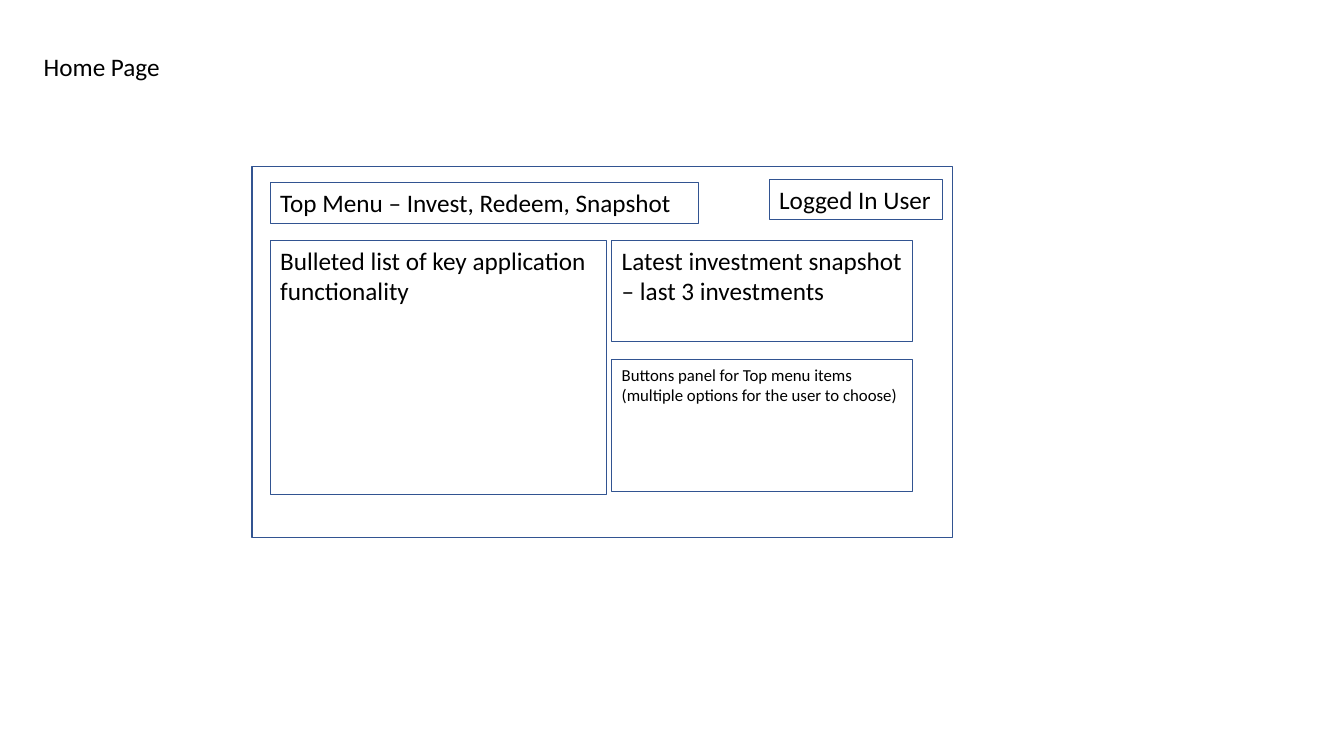
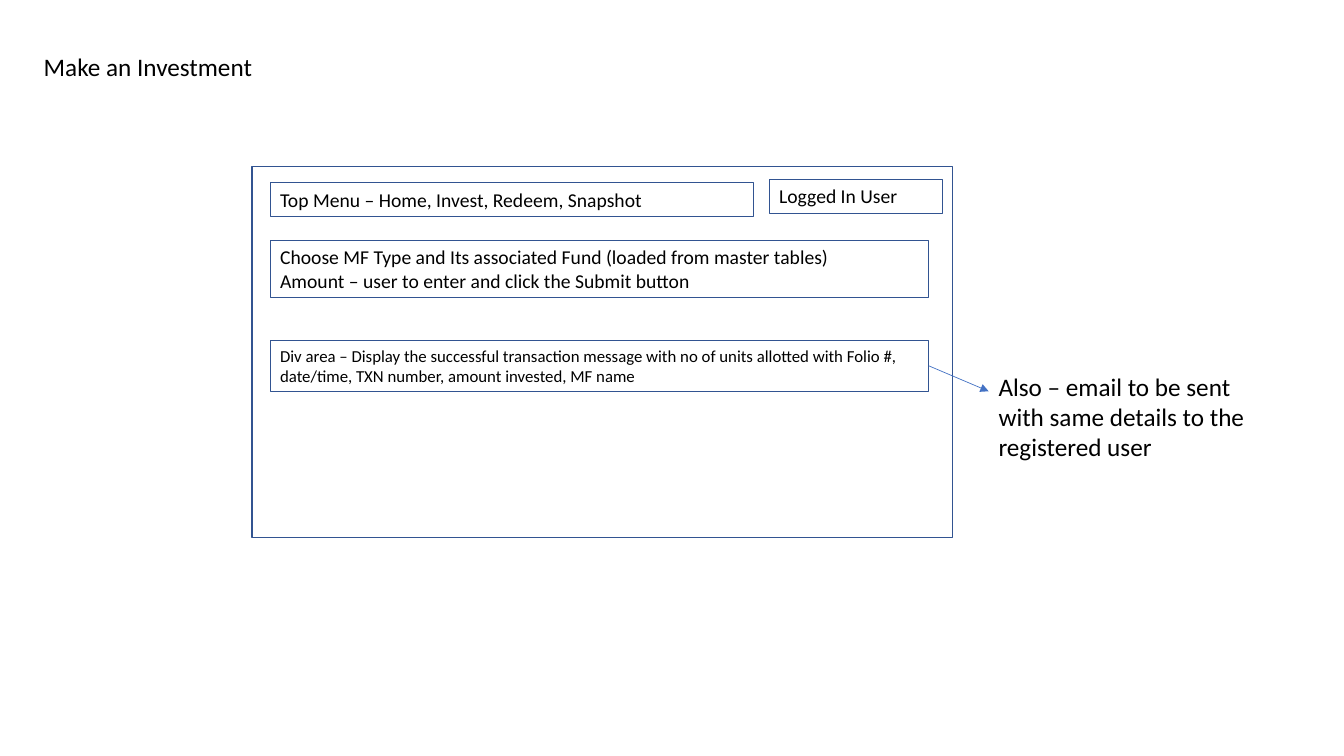
from lxml import etree
from pptx import Presentation
from pptx import util as u
from pptx.dml import color
from pptx.enum import shapes, text
from pptx.oxml import ns

FONT = "Calibri"
INK, EDGE, ARROW = "000000", "325491", "4472C4"
LEFT, BODY = 193, 171.5  # left edge and top of the page content


def rgb(code):
    return color.RGBColor.from_string(code)


class Deck:
    def __init__(self):
        self.prs = Presentation()
        self.prs.slide_width, self.prs.slide_height = u.Pt(960), u.Pt(540)
        self.slide = None

    def page(self, name, menu, size, width, high):
        """Start a slide with its title, page frame, top menu and user box."""
        self.slide = self.prs.slides.add_slide(self.prs.slide_layouts[5])
        title = self.slide.shapes.title
        title.left, title.top = u.Pt(24), u.Pt(33)
        title.width, title.height = u.Pt(202), u.Pt(29)
        self.label(title, name, 18)
        self.box(180, 119, 500.5, 265, line=1)
        self.box(LEFT, 130.5, width, high, menu, size)
        self.box(549.5, 128, 124, high, "Logged In User", size)

    def label(self, shape, words, size):
        frame = shape.text_frame
        frame.text = words
        frame.word_wrap = True
        frame.auto_size = text.MSO_AUTO_SIZE.NONE
        frame.vertical_anchor = text.MSO_ANCHOR.TOP
        frame.margin_left = frame.margin_right = u.Pt(7.2)
        frame.margin_top = frame.margin_bottom = u.Pt(3.6)
        for para in frame.paragraphs:
            para.alignment = text.PP_ALIGN.LEFT
            para.line_spacing = 1.0
            para.space_before = u.Pt(0)
            for run in para.runs:
                run.font.name, run.font.size = FONT, u.Pt(size)
                run.font.color.rgb = rgb(INK)

    def box(self, x, y, w, h, words="", size=18, line=0.75):
        shape = self.slide.shapes.add_shape(
            shapes.MSO_SHAPE.RECTANGLE, u.Pt(x), u.Pt(y), u.Pt(w), u.Pt(h))
        shape.shadow.inherit = False
        shape.fill.background()
        shape.line.color.rgb = rgb(EDGE)
        shape.line.width = u.Pt(line)
        if words:
            self.label(shape, words, size)
        return shape

    def note(self, x, y, w, h, words, size=18):
        shape = self.slide.shapes.add_textbox(
            u.Pt(x), u.Pt(y), u.Pt(w), u.Pt(h))
        self.label(shape, words, size)

    def arrow(self, start, x, y):
        """Draw an arrow from the right side of a box to a point."""
        link = self.slide.shapes.add_connector(
            shapes.MSO_CONNECTOR.STRAIGHT, start.left + start.width,
            start.top + start.height // 2, u.Pt(x), u.Pt(y))
        link.begin_connect(start, 3)
        link.line.color.rgb = rgb(ARROW)
        link.line.width = u.Pt(0.5)
        props = link.element.spPr
        stroke = props.find(ns.qn("a:ln"))
        etree.SubElement(stroke, ns.qn("a:tailEnd"), type="triangle")
        etree.SubElement(props, ns.qn("a:effectLst"))


def home(deck):
    deck.page("Home Page", "Top Menu – Invest, Redeem, Snapshot", 18, 306, 29)
    deck.box(LEFT, BODY, 240, 181.5,
             "Bulleted list of key application functionality")
    side, wide = 437, 214.5
    deck.box(side, BODY, wide, 72.7,
             "Latest investment snapshot – last 3 investments")
    deck.box(side, 257, wide, 94,
             "Buttons panel for Top menu items "
             "(multiple options for the user to choose)", 12)


def invest(deck):
    deck.page("Make an Investment",
              "Top Menu – Home, Invest, Redeem, Snapshot", 14, 345, 24.2)
    wide = 470.5
    deck.box(LEFT, BODY, wide, 41,
             "Choose MF Type and Its associated Fund "
             "(loaded from master tables)\n"
             "Amount – user to enter and click the Submit button", 14)
    result = deck.box(
        LEFT, 243.2, wide, 36.3,
        "Div area – Display the successful transaction message with no of "
        "units allotted with Folio #, date/time, TXN number, amount "
        "invested, MF name", 12)
    deck.note(706.2, 261.5, 205, 72.7,
              "Also – email to be sent with same details "
              "to the registered user")
    deck.arrow(result, 706.2, 279.5)


def main():
    deck = Deck()
    home(deck)
    invest(deck)
    deck.prs.save("out.pptx")


if __name__ == "__main__":
    main()
